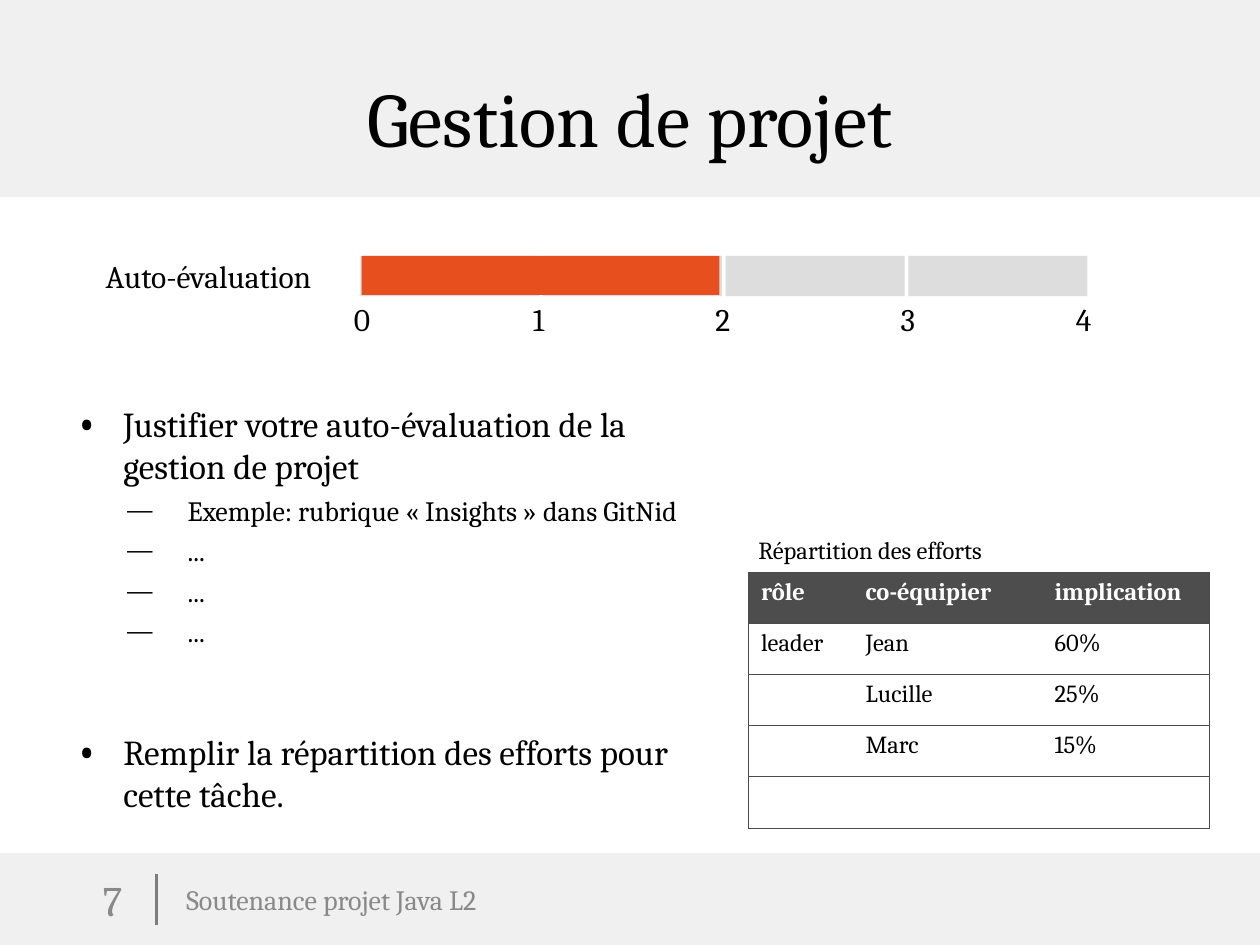
from dataclasses import dataclass

import lxml.etree
import pptx
import pptx.dml.color
import pptx.enum.shapes
import pptx.enum.text
import pptx.oxml.ns
import pptx.util
from pptx.util import Inches

FONT = "Cambria"
COLORS = {
    "band": "F0F0F0", "divider": "7D7D7D", "empty": "DDDDDD", "score": "E7501E",
    "text": "000000", "footer": "898989", "header": "4D4D4D",
    "header_text": "FFFFFF", "border": "4B4B4B",
}
ALIGN = pptx.enum.text.PP_ALIGN
MIDDLE = pptx.enum.text.MSO_ANCHOR.MIDDLE


@dataclass
class Label:
    text: str
    left: float
    top: float
    width: float
    height: float
    size: int
    color: str = "text"
    align: ALIGN = ALIGN.LEFT
    wrap: bool = True
    centered: bool = False


@dataclass
class Point:
    text: str
    size: int
    bullet: str
    bullet_percent: int
    indent: float
    hanging: float
    before: int
    level: int = 0


def rgb(name: str) -> pptx.dml.color.RGBColor:
    return pptx.dml.color.RGBColor.from_string(COLORS[name])


def add_child(parent, tag: str, **attributes: str):
    child = lxml.etree.SubElement(parent, pptx.oxml.ns.qn(tag))
    for key, value in attributes.items():
        child.set(key, value)
    return child


def add_run(paragraph, text: str, size: int, color: str = "text", bold: bool = False) -> None:
    run = paragraph.add_run()
    run.text = text
    run.font.name = FONT
    run.font.size = pptx.util.Pt(size)
    run.font.bold = bold
    run.font.color.rgb = rgb(color)


def add_block(shapes, left: float, top: float, width: float, height: float,
              color: str, outlined: bool = False) -> None:
    block = shapes.add_shape(pptx.enum.shapes.MSO_SHAPE.RECTANGLE, Inches(left),
                             Inches(top), Inches(width), Inches(height))
    block.shadow.inherit = False
    block.fill.solid()
    block.fill.fore_color.rgb = rgb(color)
    if outlined:
        block.line.color.rgb = rgb(color)
        block.line.width = pptx.util.Pt(2)
    else:
        block.line.fill.background()


def add_label(shapes, label: Label) -> None:
    frame = shapes.add_textbox(Inches(label.left), Inches(label.top),
                               Inches(label.width), Inches(label.height)).text_frame
    frame.word_wrap = label.wrap
    if label.centered:
        frame.vertical_anchor = MIDDLE
    frame.paragraphs[0].alignment = label.align
    add_run(frame.paragraphs[0], label.text, label.size, label.color)


def add_point(paragraph, point: Point) -> None:
    paragraph.level = point.level
    paragraph.space_before = pptx.util.Pt(point.before)
    properties = paragraph._p.get_or_add_pPr()
    properties.set("marL", str(Inches(point.indent)))
    properties.set("indent", str(-Inches(point.hanging)))
    bullet_color = add_child(properties, "a:buClr")
    add_child(bullet_color, "a:srgbClr", val=COLORS["text"])
    add_child(properties, "a:buSzPct", val=str(point.bullet_percent * 1000))
    add_child(properties, "a:buFont", typeface=FONT)
    add_child(properties, "a:buChar", char=point.bullet)
    add_run(paragraph, point.text, point.size)


def set_borders(cell, sides: dict[str, bool]) -> None:
    properties = cell._tc.get_or_add_tcPr()
    for position, (side, visible) in enumerate(sides.items()):
        line = add_child(properties, f"a:ln{side}", w=str(pptx.util.Pt(0.34)))
        if visible:
            fill = add_child(line, "a:solidFill")
            add_child(fill, "a:srgbClr", val=COLORS["border"])
        else:
            add_child(line, "a:noFill")
        properties.insert(position, line)  # borders come before the fill


def add_efforts_table(shapes, rows: list[tuple[str, ...]], widths: tuple[float, ...]) -> None:
    table = shapes.add_table(len(rows), len(widths), Inches(5.94), Inches(4.54),
                             Inches(sum(widths)), Inches(2.03)).table
    table.horz_banding = False
    for column, width in zip(table.columns, widths):
        column.width = Inches(width)
    for r, row in enumerate(rows):
        is_header = r == 0
        for c, text in enumerate(row):
            cell = table.cell(r, c)
            if is_header:
                cell.fill.solid()
                cell.fill.fore_color.rgb = rgb("header")
            else:
                cell.fill.background()
            set_borders(cell, {"L": c == 0, "R": c == len(row) - 1, "T": True, "B": True})
            if text:
                add_run(cell.text_frame.paragraphs[0], text, 14,
                        "header_text" if is_header else "text", is_header)


def main() -> None:
    deck = pptx.Presentation()
    deck.slide_width, deck.slide_height = Inches(10), Inches(7.5)
    slide = deck.slides.add_slide(deck.slide_layouts[5])
    shapes = slide.shapes
    title = shapes.title

    # Header and footer bands
    add_block(shapes, 0, 6.78, 10, 0.72, "band", outlined=True)
    add_block(shapes, 0, 0, 10, 1.55, "band", outlined=True)
    divider = shapes.add_connector(pptx.enum.shapes.MSO_CONNECTOR.STRAIGHT,
                                   Inches(1.24), Inches(6.94), Inches(1.24), Inches(7.34))
    divider.line.color.rgb = rgb("divider")
    divider.line.width = pptx.util.Pt(1.5)
    add_child(divider._element.spPr, "a:effectLst")
    add_label(shapes, Label("Soutenance projet Java L2", 1.38, 6.94, 4.88, 0.4, 16,
                            "footer", centered=True))
    add_label(shapes, Label("7", 0.2, 6.94, 0.87, 0.4, 24, "footer", ALIGN.RIGHT,
                            centered=True))

    # Title, brought in front of the header band
    title.left, title.top = Inches(0.5), Inches(0.3)
    title.width, title.height = Inches(9), Inches(1.25)
    title.text_frame.vertical_anchor = MIDDLE
    title.text_frame.paragraphs[0].alignment = ALIGN.CENTER
    add_run(title.text_frame.paragraphs[0], "Gestion de projet", 44)
    shapes._spTree.append(title._element)

    # Self-assessment scale
    add_label(shapes, Label("Auto-évaluation", 0.74, 1.99, 2.28, 0.4, 18))
    for step in range(4):
        add_block(shapes, 2.86 + 1.45 * step, 2.03, 1.42, 0.32, "empty")
    for mark, left in enumerate((2.71, 4.13, 5.58, 7.05, 8.44)):
        add_label(shapes, Label(str(mark), left, 2.33, 0.31, 0.4, 18))
    add_block(shapes, 2.87, 2.03, 2.84, 0.31, "score")

    # Justification points
    def main_point(text: str, before: int) -> Point:
        return Point(text, 20, "•", 150, 0.38, 0.38, before)

    def detail(text: str) -> Point:
        return Point(text, 16, "—", 100, 0.89, 0.49, 4, level=1)

    points = [
        main_point("Justifier votre auto-évaluation de la gestion de projet", 0),
        detail("Exemple: rubrique « Insights » dans GitNid"),
        *[detail("...") for _ in range(3)],
        main_point("Remplir la répartition des efforts pour cette tâche.", 47),
    ]
    justification = shapes.add_textbox(Inches(0.5), Inches(2.96),
                                       Inches(5.29), Inches(3.74)).text_frame
    justification.word_wrap = True
    justification.vertical_anchor = MIDDLE
    for i, point in enumerate(points):
        add_point(justification.add_paragraph() if i else justification.paragraphs[0], point)

    # Distribution of efforts
    efforts = [
        ("rôle", "co-équipier", "implication"),
        ("leader", "Jean", "60%"),
        ("", "Lucille", "25%"),
        ("", "Marc", "15%"),
        ("", "", ""),
    ]
    add_efforts_table(shapes, efforts, (0.83, 1.5, 1.33))
    add_label(shapes, Label("Répartition des efforts", 5.92, 4.2, 1.98, 0.34, 14, wrap=False))

    deck.save("out.pptx")


if __name__ == "__main__":
    main()
